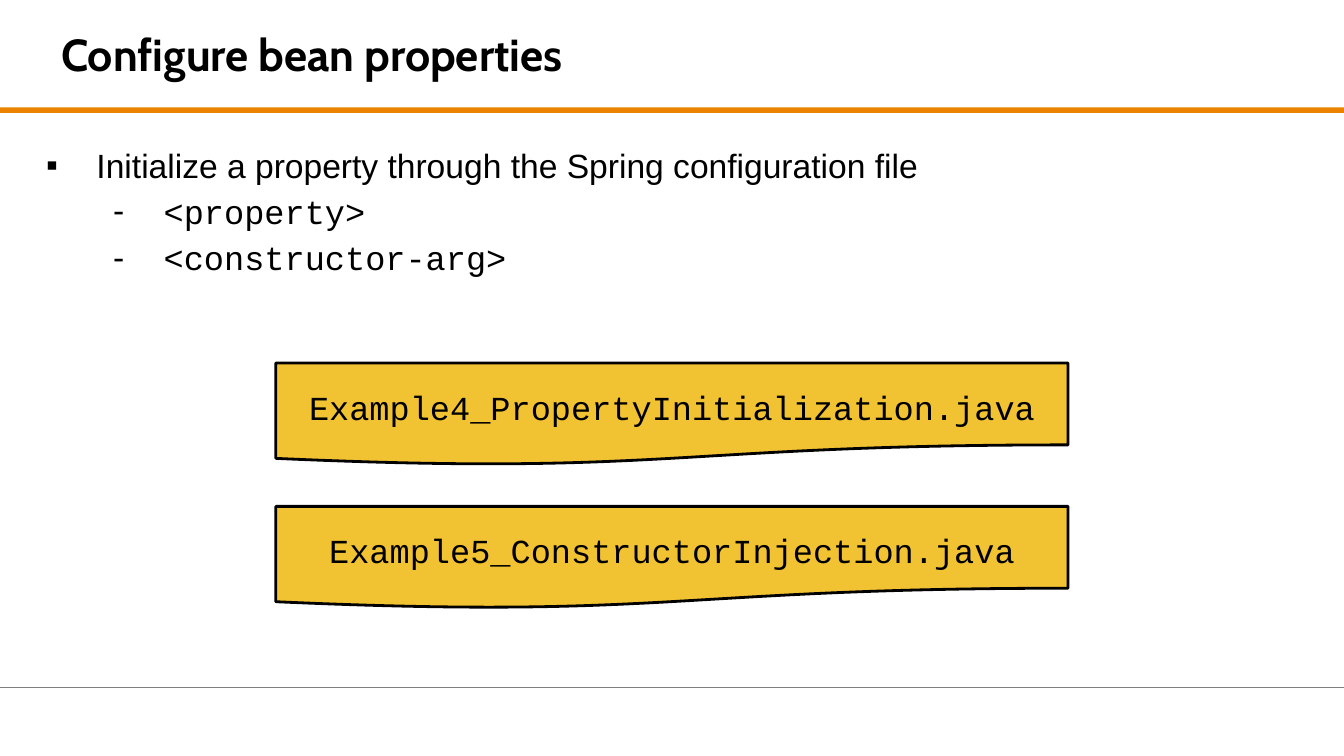
from dataclasses import dataclass

from lxml import etree
from pptx import Presentation
from pptx.dml.color import RGBColor
from pptx.enum import shapes, text
from pptx.oxml.ns import qn
from pptx.util import Pt


@dataclass(frozen=True)
class Theme:
    black: RGBColor = RGBColor(0x00, 0x00, 0x00)
    orange: RGBColor = RGBColor(0xE9, 0x83, 0x00)
    gray: RGBColor = RGBColor(0x7F, 0x7F, 0x7F)
    yellow: RGBColor = RGBColor(0xF1, 0xC2, 0x32)
    title_font: str = "Cabin"
    body_font: str = "Arial"
    code_font: str = "Courier New"
    title_size: int = 24
    body_size: int = 18
    inset: float = 7.2
    line_spacing: float = 1.15


THEME = Theme()
WIDTH, HEIGHT = 720, 405
FILE_NAMES = ["Example4_PropertyInitialization.java", "Example5_ConstructorInjection.java"]
BULLETS = [
    (0, "▪", "Initialize a property through the Spring configuration file", THEME.body_font),
    (1, "-", "<property>", THEME.code_font),
    (1, "-", "<constructor-arg>", THEME.code_font),
]


def set_frame(tf, anchor):
    tf.word_wrap = True
    tf.auto_size = text.MSO_AUTO_SIZE.NONE
    tf.vertical_anchor = anchor
    tf.margin_left = tf.margin_right = tf.margin_top = tf.margin_bottom = Pt(THEME.inset)


def add_run(p, words, font, size, bold=False):
    r = p.add_run()
    r.text = words
    r.font.name = font
    r.font.size = Pt(size)
    r.font.bold = bold
    r.font.color.rgb = THEME.black


def set_bullet(p, level, char):
    """Give the paragraph a hanging bullet, indented by its level."""
    p.level = level
    pPr = p._p.get_or_add_pPr()
    pPr.set("marL", str(Pt(36 * (level + 1))))
    pPr.set("indent", str(Pt(-27)))
    color = etree.SubElement(pPr, qn("a:buClr"))
    etree.SubElement(color, qn("a:srgbClr"), val=str(THEME.black))
    etree.SubElement(pPr, qn("a:buFont"), typeface=THEME.body_font)
    etree.SubElement(pPr, qn("a:buChar"), char=char)


def add_title(s, words):
    sp = s.shapes.title
    sp.left, sp.top, sp.width, sp.height = Pt(25.5), Pt(0), Pt(674.5), Pt(57.6)
    set_frame(sp.text_frame, text.MSO_ANCHOR.MIDDLE)
    p = sp.text_frame.paragraphs[0]
    p.alignment = text.PP_ALIGN.LEFT
    add_run(p, words, THEME.title_font, THEME.title_size, bold=True)


def add_rules(s):
    """Draw the orange band under the title and the thin footer line."""
    band = s.shapes.add_shape(shapes.MSO_SHAPE.RECTANGLE, Pt(0), Pt(57.6), Pt(WIDTH), Pt(2.9))
    band.shadow.inherit = False
    band.fill.solid()
    band.fill.fore_color.rgb = THEME.orange
    band.line.fill.background()

    footer = s.shapes.add_connector(
        shapes.MSO_CONNECTOR.STRAIGHT, Pt(0), Pt(368.5), Pt(WIDTH), Pt(368.5))
    footer.line.color.rgb = THEME.gray
    footer.line.width = Pt(0.75)
    etree.SubElement(footer._element.spPr, qn("a:effectLst"))


def add_bullets(s, items):
    sp = s.shapes.add_textbox(Pt(8.6), Pt(67), Pt(691), Pt(293))
    tf = sp.text_frame
    set_frame(tf, text.MSO_ANCHOR.TOP)
    for i, (level, char, words, font) in enumerate(items):
        p = tf.add_paragraph() if i else tf.paragraphs[0]
        p.line_spacing = THEME.line_spacing
        set_bullet(p, level, char)
        add_run(p, words, font, THEME.body_size)


def add_file(s, top, name):
    sp = s.shapes.add_shape(
        shapes.MSO_SHAPE.FLOWCHART_DOCUMENT, Pt(147.8), Pt(top), Pt(424.4), Pt(54.7))
    sp.shadow.inherit = False
    sp.fill.solid()
    sp.fill.fore_color.rgb = THEME.yellow
    sp.line.color.rgb = THEME.black
    sp.line.width = Pt(1.5)
    set_frame(sp.text_frame, text.MSO_ANCHOR.MIDDLE)
    p = sp.text_frame.paragraphs[0]
    p.alignment = text.PP_ALIGN.CENTER
    p.line_spacing = THEME.line_spacing
    add_run(p, name, THEME.code_font, THEME.body_size)


def main():
    prs = Presentation()
    prs.slide_width, prs.slide_height = Pt(WIDTH), Pt(HEIGHT)
    s = prs.slides.add_slide(prs.slide_layouts[5])
    add_rules(s)
    add_title(s, "Configure bean properties")
    add_bullets(s, BULLETS)
    for i, name in enumerate(FILE_NAMES):
        add_file(s, 194.5 + 76.8 * i, name)
    prs.save("out.pptx")


if __name__ == "__main__":
    main()
